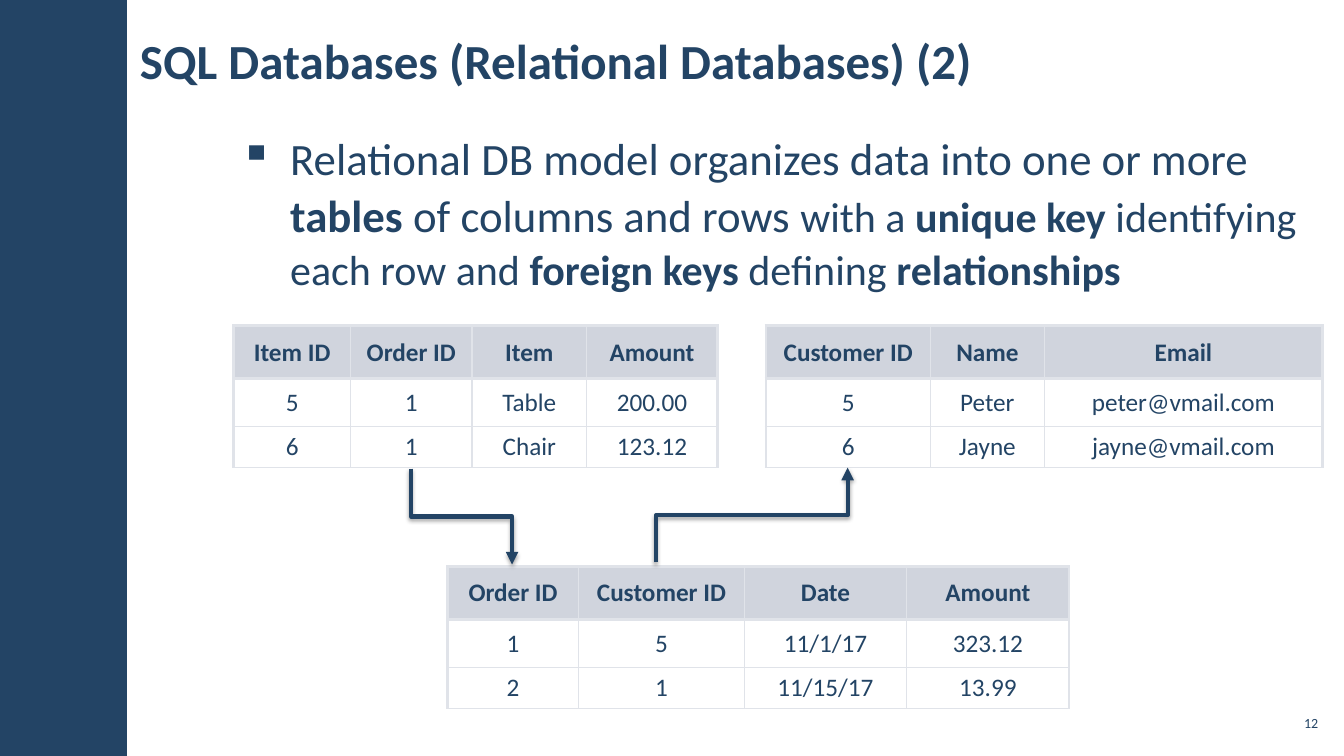
"""Build a slide on relational databases with three linked tables."""
from lxml.etree import SubElement
from pptx import Presentation
from pptx.dml.color import RGBColor
from pptx.enum.shapes import MSO_CONNECTOR, MSO_SHAPE
from pptx.enum.text import MSO_ANCHOR, PP_ALIGN
from pptx.oxml.ns import qn
from pptx.util import Pt

NAVY, GREY, BORDER = "234465", "A3ABBC", "E0E3E9"
FONT = "Calibri"
TITLE = "SQL Databases (Relational Databases) (2)"
PAGE_NUMBER = "12"
BODY_FIRST_LINE = "Relational DB model organizes data into one or more "
BODY_RUNS = [
    ("tables", 32, True),
    (" of columns and rows ", 32, False),
    ("with a ", 30, False),
    ("unique key ", 30, True),
    ("identifying each row and ", 30, False),
    ("foreign keys ", 30, True),
    ("defining ", 30, False),
    ("relationships", 30, True),
]
ROW_HEIGHTS = [38, 34, 29.5]
TABLES = [
    {"left": 547.2, "top": 232.6, "widths": [117.4, 81.4, 198.7],
     "rows": [["Customer ID", "Name", "Email"],
              ["5", "Peter", "peter@vmail.com"],
              ["6", "Jayne", "jayne@vmail.com"]]},
    {"left": 319.7, "top": 404.6, "widths": [93.6, 118.4, 116, 116],
     "rows": [["Order ID", "Customer ID", "Date", "Amount"],
              ["1", "5", "11/1/17", "323.12"],
              ["2", "1", "11/15/17", "13.99"]]},
    {"left": 167, "top": 232.6, "widths": [83.4, 86.8, 81.8, 93.6],
     "rows": [["Item ID", "Order ID", "Item", "Amount"],
              ["5", "1", "Table", "200.00"],
              ["6", "1", "Chair", "123.12"]]},
]
ARROWS = [((293.8, 334.8), (365.8, 403.2)), ((468.7, 401.8), (605.5, 334.1))]


def color(value):
    return RGBColor.from_string(value)


def add_run(paragraph, text, size, bold=False):
    run = paragraph.add_run()
    run.text = text
    run.font.name = FONT
    run.font.size = Pt(size)
    run.font.bold = bold
    run.font.color.rgb = color(NAVY)


def add_text_box(slide, left, top, width, height, side_inset, anchor):
    box = slide.shapes.add_textbox(Pt(left), Pt(top), Pt(width), Pt(height))
    frame = box.text_frame
    frame.word_wrap = True
    frame.vertical_anchor = anchor
    frame.margin_left = frame.margin_right = Pt(side_inset)
    frame.margin_top = frame.margin_bottom = Pt(3)
    return frame.paragraphs[0]


def add_body(slide):
    paragraph = add_text_box(slide, 162.7, 88.6, 781.9, 417.6, 8.6, MSO_ANCHOR.TOP)
    paragraph.line_spacing = 1.05
    paragraph.space_before = paragraph.space_after = Pt(6)
    properties = paragraph._p.get_or_add_pPr()
    properties.set("marL", str(Pt(36)))
    properties.set("indent", str(-Pt(36)))
    SubElement(properties, qn("a:buChar"), char="▪")
    add_run(paragraph, BODY_FIRST_LINE, 32)
    paragraph.add_line_break()
    for text, size, bold in BODY_RUNS:
        add_run(paragraph, text, size, bold)


def add_borders(cell, widths):
    properties = cell._tc.get_or_add_tcPr()
    for index, (side, width) in enumerate(widths.items()):
        line = SubElement(properties, qn(f"a:ln{side}"), w=str(Pt(width)))
        fill = SubElement(line, qn("a:solidFill"))
        SubElement(fill, qn("a:srgbClr"), val=BORDER)
        properties.insert(index, line)


def fill_cell(cell, text, is_header):
    cell.vertical_anchor = MSO_ANCHOR.MIDDLE
    cell.margin_left = cell.margin_right = Pt(11.5)
    cell.margin_top = cell.margin_bottom = Pt(3.6)
    paragraph = cell.text_frame.paragraphs[0]
    paragraph.alignment = PP_ALIGN.CENTER
    paragraph.line_spacing = 0.95
    add_run(paragraph, text, 18, is_header)
    if is_header:
        cell.fill.solid()
        cell.fill.fore_color.rgb = color(GREY)
        tint = cell._tc.tcPr.find(f".//{qn('a:srgbClr')}")
        SubElement(tint, qn("a:alpha"), val="50000")
    else:
        cell.fill.background()


def add_data_table(slide, left, top, widths, rows):
    frame = slide.shapes.add_table(len(rows), len(widths), Pt(left), Pt(top),
                                   Pt(sum(widths)), Pt(sum(ROW_HEIGHTS)))
    table = frame.table
    table.first_row = table.horz_banding = False
    for column, width in zip(table.columns, widths):
        column.width = Pt(width)
    for row, height in zip(table.rows, ROW_HEIGHTS):
        row.height = Pt(height)
    last = len(widths) - 1
    for r, values in enumerate(rows):
        for c, text in enumerate(values):
            cell = table.cell(r, c)
            fill_cell(cell, text, r == 0)
            thick = {"L": c == 0, "R": c == last, "T": r <= 1, "B": r == 0}
            add_borders(cell, {side: 2.25 if on else 1 for side, on in thick.items()})


def add_arrow(slide, start, end):
    """Draw a vertical-first elbow by turning a horizontal-first one."""
    (x1, y1), (x2, y2) = start, end
    middle_x, middle_y = (x1 + x2) / 2, (y1 + y2) / 2
    half_width, half_height = abs(y2 - y1) / 2, (x2 - x1) / 2
    direction = 1 if y2 > y1 else -1
    connector = slide.shapes.add_connector(
        MSO_CONNECTOR.ELBOW,
        Pt(middle_x + half_width), Pt(middle_y - direction * half_height),
        Pt(middle_x - half_width), Pt(middle_y + direction * half_height))
    connector.line.color.rgb = color(NAVY)
    connector.line.width = Pt(3)
    properties = connector._element.spPr
    rotation = 270 if direction > 0 else 90
    properties.find(qn("a:xfrm")).set("rot", str(rotation * 60000))
    SubElement(properties.find(qn("a:ln")), qn("a:tailEnd"), type="triangle")
    effects = SubElement(properties, qn("a:effectLst"))
    shadow = SubElement(effects, qn("a:outerShdw"), blurRad=str(Pt(3.1)),
                        dist=str(Pt(1.8)), dir="5400000", rotWithShape="0")
    shade = SubElement(shadow, qn("a:srgbClr"), val="000000")
    SubElement(shade, qn("a:alpha"), val="35000")


def main():
    presentation = Presentation()
    presentation.slide_width, presentation.slide_height = Pt(960), Pt(540)
    slide = presentation.slides.add_slide(presentation.slide_layouts[6])
    sidebar = slide.shapes.add_shape(MSO_SHAPE.RECTANGLE, 0, 0, Pt(90.7), Pt(540))
    sidebar.shadow.inherit = False
    sidebar.fill.solid()
    sidebar.fill.fore_color.rgb = color(NAVY)
    sidebar.line.fill.background()
    add_body(slide)
    title = add_text_box(slide, 91.4, 7.9, 672.5, 69.8, 8.6, MSO_ANCHOR.MIDDLE)
    add_run(title, TITLE, 35, True)
    number = add_text_box(slide, 910.8, 504, 33.8, 24.5, 3, MSO_ANCHOR.MIDDLE)
    number.alignment = PP_ALIGN.RIGHT
    add_run(number, PAGE_NUMBER, 10)
    for table in TABLES:
        add_data_table(slide, **table)
    for start, end in ARROWS:
        add_arrow(slide, start, end)
    presentation.save("out.pptx")


if __name__ == "__main__":
    main()
